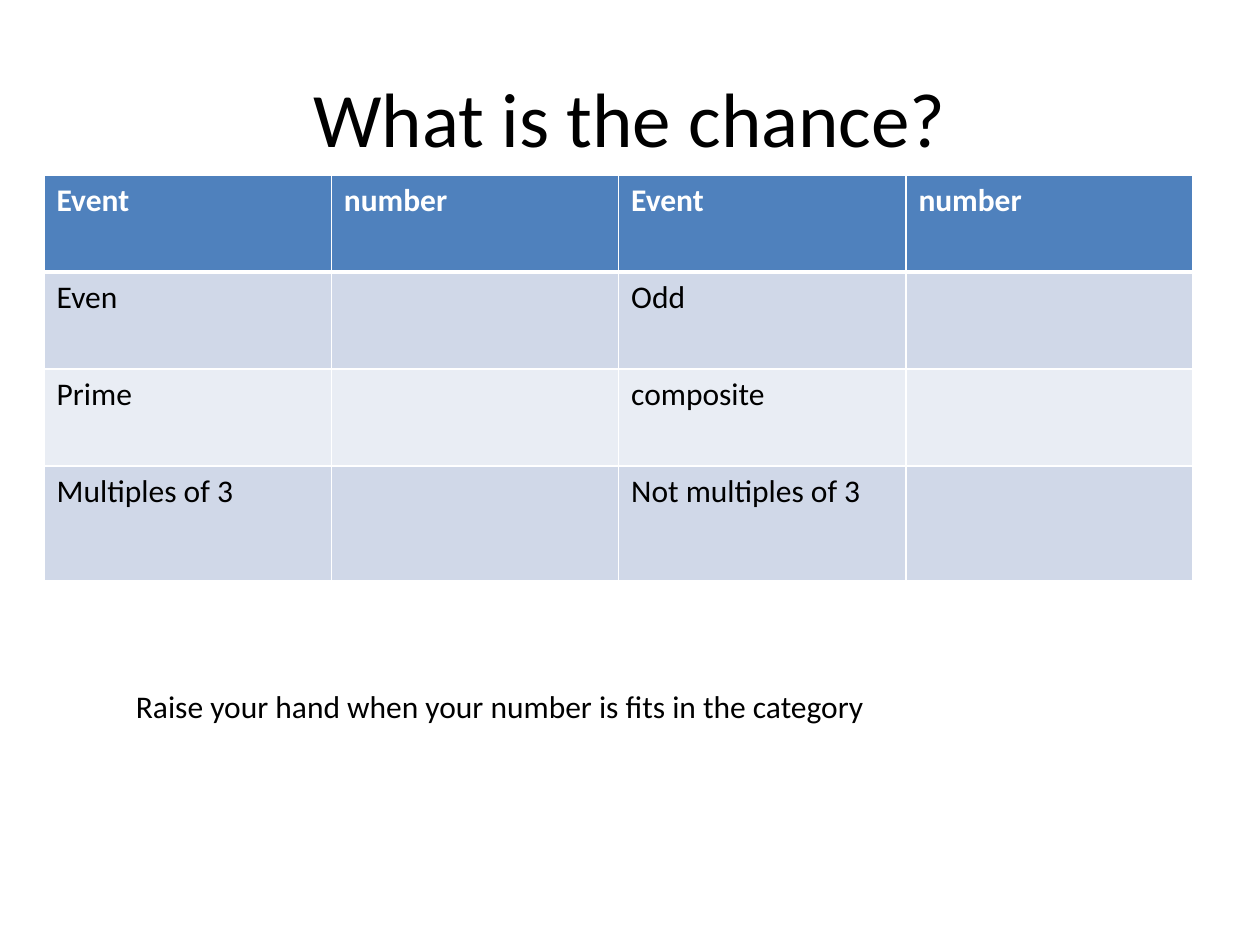
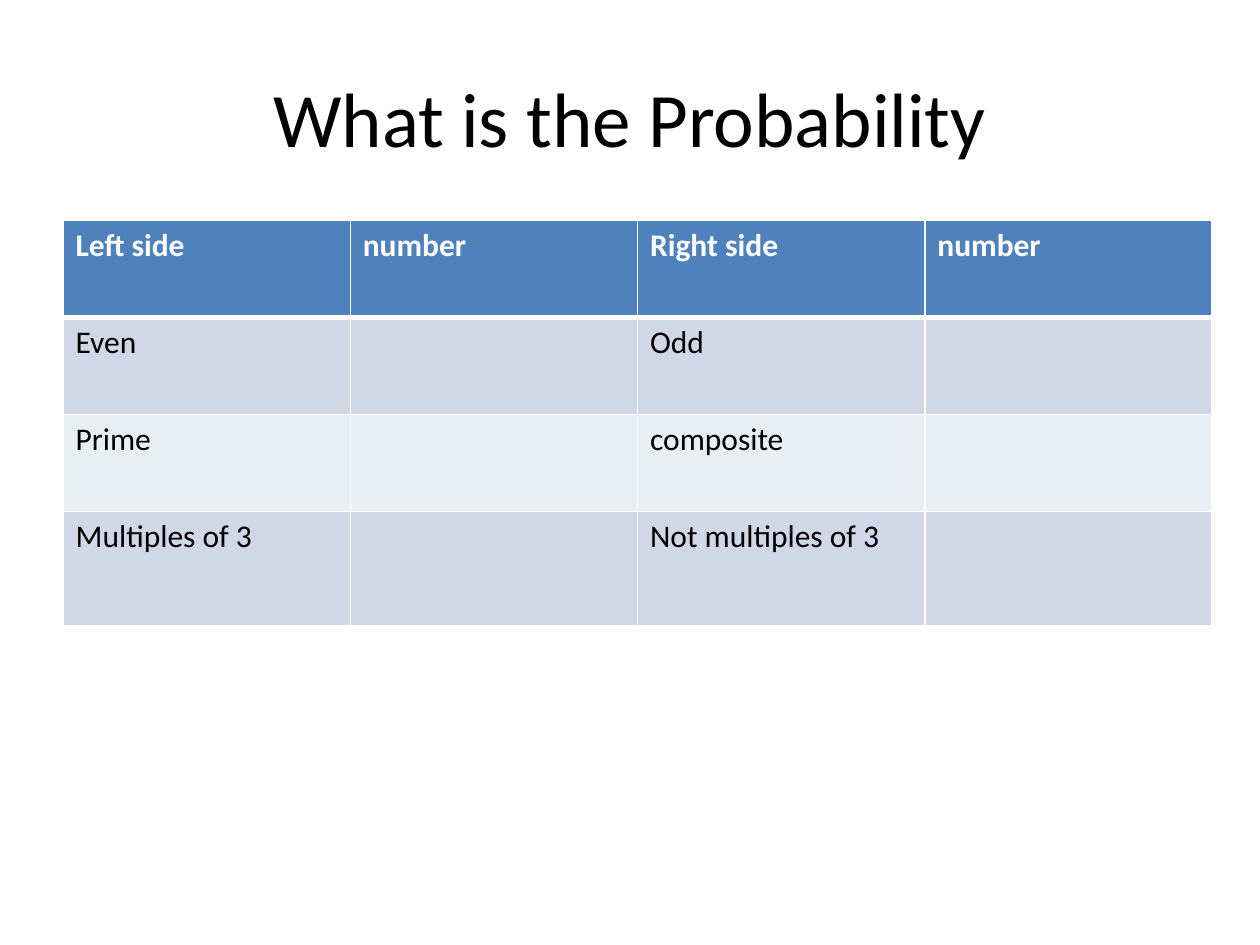
from dataclasses import dataclass

from lxml import etree
from pptx import Presentation
from pptx import util as u
from pptx.dml.color import RGBColor
from pptx.enum import text
from pptx.oxml import ns
from pptx.slide import Slide
from pptx.table import _Cell
from pptx.text.text import TextFrame

# Shared look
BLACK = RGBColor(0x00, 0x00, 0x00)
WHITE = RGBColor(0xFF, 0xFF, 0xFF)
HEADER_BLUE = RGBColor(0x4F, 0x81, 0xBD)
BANDS = (RGBColor(0xE9, 0xED, 0xF4), RGBColor(0xD0, 0xD8, 0xE8))

TITLE_FORMAT = {"name": "Calibri", "size": u.Pt(44), "bold": False}
BODY_FORMAT = {"name": "Calibri", "size": u.Pt(18), "bold": False}
HEADER_FORMAT = {**BODY_FORMAT, "bold": True}

COLUMN_WIDTH = 2.28
ROW_HEIGHTS = (0.77, 0.77, 0.77, 0.91)
THIN, THICK = u.Pt(1), u.Pt(3)

EVENT_PAIRS = (
    ("Even", "Odd"),
    ("Prime", "composite"),
    ("Multiples of 3", "Not multiples of 3"),
)


@dataclass(frozen=True)
class EventSlide:
    title: str
    headings: tuple[str, str]
    table_left: float
    table_top: float
    instruction: str = ""


EVENT_SLIDES = (
    EventSlide("What is the chance?", ("Event", "Event"), 0.35, 1.39,
               "Raise your hand when your number is fits in the category"),
    EventSlide("What is the Probability", ("Left side", "Right side"), 0.5, 1.75),
)


def write(frame: TextFrame, words: str, font_format: dict, color: RGBColor) -> None:
    """Put one formatted run into the first paragraph."""
    run = frame.paragraphs[0].add_run()
    run.text = words
    for attribute, value in font_format.items():
        setattr(run.font, attribute, value)
    run.font.color.rgb = color


def add_title(slide: Slide, words: str) -> None:
    box = slide.shapes.add_textbox(u.Inches(0.5), u.Inches(0.3), u.Inches(9), u.Inches(1.25))
    frame = box.text_frame
    frame.word_wrap = True
    frame.vertical_anchor = text.MSO_ANCHOR.MIDDLE
    frame.paragraphs[0].alignment = text.PP_ALIGN.CENTER
    write(frame, words, TITLE_FORMAT, BLACK)


def add_instruction(slide: Slide, words: str) -> None:
    box = slide.shapes.add_textbox(u.Inches(0.98), u.Inches(5.4), u.Inches(6.05), u.Inches(0.4))
    box.text_frame.word_wrap = False
    box.text_frame.auto_size = text.MSO_AUTO_SIZE.SHAPE_TO_FIT_TEXT
    write(box.text_frame, words, BODY_FORMAT, BLACK)


def set_borders(cell: _Cell, top: int, bottom: int) -> None:
    """Draw white rules around a cell; call before setting its fill."""
    properties = cell._tc.get_or_add_tcPr()
    for side, width in (("L", THIN), ("R", THIN), ("T", top), ("B", bottom)):
        line = etree.SubElement(properties, ns.qn(f"a:ln{side}"), w=str(int(width)))
        fill = etree.SubElement(line, ns.qn("a:solidFill"))
        etree.SubElement(fill, ns.qn("a:srgbClr"), val=str(WHITE))


def add_event_table(slide: Slide, content: EventSlide) -> None:
    left_heading, right_heading = content.headings
    rows = [(left_heading, "number", right_heading, "number")]
    rows += [(left, "", right, "") for left, right in EVENT_PAIRS]
    columns = len(rows[0])
    table = slide.shapes.add_table(
        len(rows), columns, u.Inches(content.table_left), u.Inches(content.table_top),
        u.Inches(COLUMN_WIDTH * columns), u.Inches(sum(ROW_HEIGHTS))).table

    for column in table.columns:
        column.width = u.Inches(COLUMN_WIDTH)
    for row_index, (words_in_row, height) in enumerate(zip(rows, ROW_HEIGHTS)):
        table.rows[row_index].height = u.Inches(height)
        is_header = row_index == 0
        for column_index, words in enumerate(words_in_row):
            cell = table.cell(row_index, column_index)
            set_borders(cell, top=THICK if row_index == 1 else THIN,
                        bottom=THICK if is_header else THIN)
            cell.fill.solid()
            cell.fill.fore_color.rgb = HEADER_BLUE if is_header else BANDS[row_index % 2]
            if words:
                write(cell.text_frame, words, HEADER_FORMAT if is_header else BODY_FORMAT,
                      WHITE if is_header else BLACK)


def main() -> None:
    deck = Presentation()
    deck.slide_width, deck.slide_height = u.Inches(10), u.Inches(7.5)
    blank = deck.slide_layouts[6]
    for content in EVENT_SLIDES:
        slide = deck.slides.add_slide(blank)
        add_title(slide, content.title)
        add_event_table(slide, content)
        if content.instruction:
            add_instruction(slide, content.instruction)
    deck.save("out.pptx")


if __name__ == "__main__":
    main()
